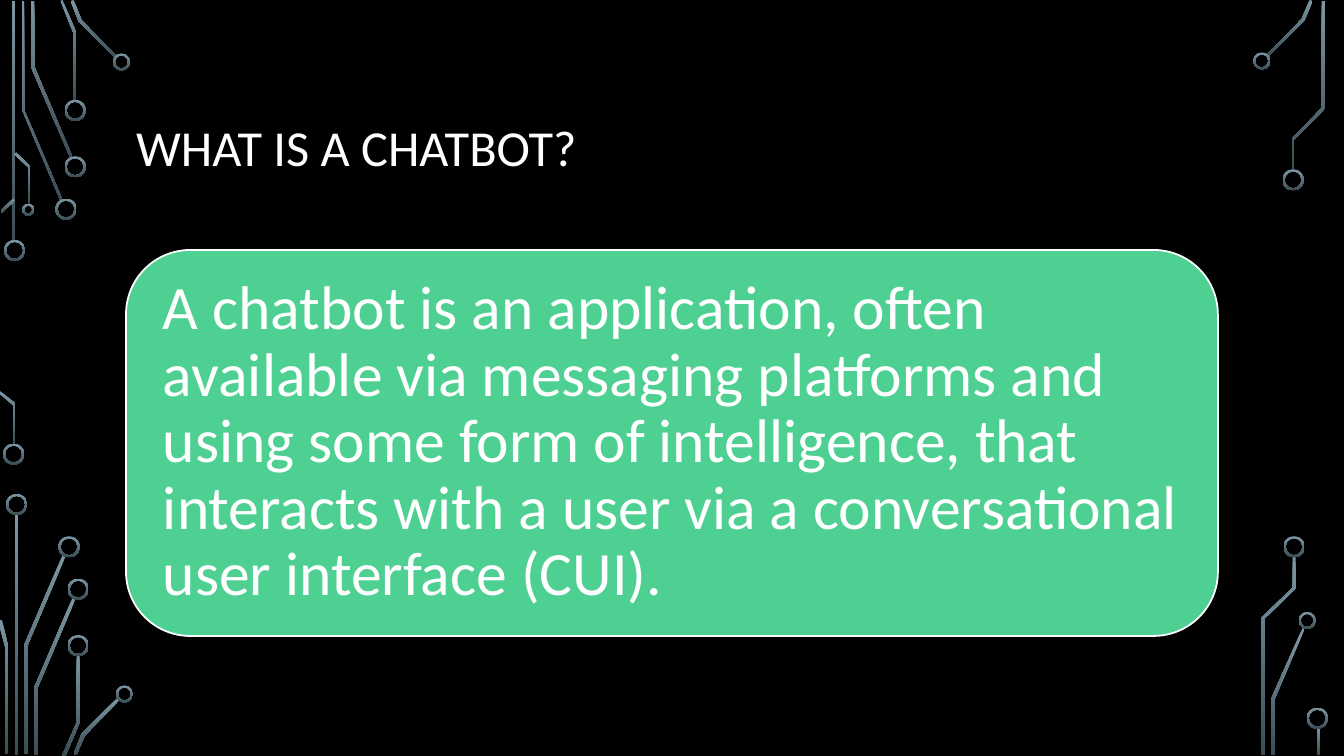
from pptx import Presentation
from pptx.dml.color import RGBColor
from pptx.enum.shapes import MSO_SHAPE
from pptx.enum.text import MSO_ANCHOR, PP_ALIGN
from pptx.util import Inches, Pt

RECTANGLE = MSO_SHAPE.RECTANGLE
RING = MSO_SHAPE.DONUT
ROUNDED_RECTANGLE = MSO_SHAPE.ROUNDED_RECTANGLE
MIDDLE = MSO_ANCHOR.MIDDLE
LEFT = PP_ALIGN.LEFT

COLORS = {
    "background": "000000",
    "text": "FFFFFF",
    "card": "4FD093",
    "trace_top": "7C96A3",
    "trace_bottom": "3B4C54",
}
FONT = "Calibri"
RING_THICKNESS = 0.02

# Straight circuit traces: left, top, width, height
BARS = [
    (0.12, 0.01, 0.03, 2.39),
    (0.15, 5.10, 0.03, 2.39),
    (13.06, 7.21, 0.03, 0.28),
]

# Bent circuit traces: outline points
TRACES = [
    # Top left
    [(0.60, 1.99), (0.22, 1.09), (0.22, 0.01), (0.24, 0.01), (0.24, 1.09), (0.62, 1.98)],
    [(0.70, 1.57), (0.31, 0.67), (0.31, 0.01), (0.34, 0.01), (0.34, 0.66), (0.72, 1.56)],
    [(0.76, 1.00), (0.73, 1.00), (0.73, 0.33), (0.60, 0.01), (0.62, 0.00), (0.76, 0.33)],
    [(1.15, 0.58), (0.78, 0.21), (0.70, 0.01), (0.73, 0.00), (0.81, 0.20), (1.16, 0.56)],
    [(0.02, 2.11), (0.01, 2.09), (0.13, 1.97), (0.15, 1.99)],
    [(0.30, 2.03), (0.28, 2.03), (0.28, 1.66), (0.14, 1.53), (0.16, 1.51), (0.30, 1.65)],
    # Bottom left
    [(0.15, 4.41), (0.13, 4.41), (0.13, 4.02), (0.00, 3.91), (0.00, 3.88), (0.15, 4.00)],
    [(0.27, 7.48), (0.24, 7.48), (0.24, 6.40), (0.62, 5.51), (0.65, 5.52), (0.27, 6.41)],
    [(0.08, 7.48), (0.05, 7.48), (0.05, 6.41), (0.00, 6.23), (0.00, 6.15), (0.02, 6.15),
     (0.08, 6.41)],
    [(0.37, 7.49), (0.34, 7.49), (0.34, 6.82), (0.72, 5.93), (0.75, 5.94), (0.37, 6.83)],
    [(0.65, 7.50), (0.62, 7.49), (0.76, 7.17), (0.76, 6.50), (0.79, 6.50), (0.79, 7.17)],
    [(0.76, 7.49), (0.73, 7.48), (0.81, 7.28), (1.17, 6.92), (1.19, 6.94), (0.84, 7.30)],
    # Top right
    [(12.58, 0.56), (12.56, 0.55), (12.91, 0.19), (12.99, 0.00), (13.02, 0.01), (12.94, 0.20)],
    [(12.83, 1.69), (12.81, 1.69), (12.81, 1.38), (13.11, 1.07), (13.11, 0.01), (13.14, 0.01),
     (13.14, 1.08), (12.83, 1.39)],
    # Bottom right
    [(12.64, 7.49), (12.61, 7.49), (12.61, 6.93), (12.92, 6.23), (12.94, 6.24), (12.64, 6.94)],
    [(12.54, 7.49), (12.51, 7.49), (12.51, 6.13), (12.82, 5.83), (12.82, 5.52), (12.85, 5.52),
     (12.85, 5.84), (12.54, 6.14)],
]

# Ring positions (left, top) by diameter
RINGS = {
    0.21: [(0.04, 2.38), (0.03, 4.40), (0.55, 1.97), (0.64, 1.55), (0.64, 0.99),
           (0.06, 4.90), (0.58, 5.32), (0.67, 5.74), (0.67, 6.30),
           (12.72, 1.68), (12.73, 5.32), (12.96, 7.02)],
    0.17: [(1.12, 0.53), (1.15, 6.80), (12.43, 0.52), (12.88, 6.07)],
    0.12: [(0.22, 2.02)],
}


def style_circuit(shape):
    """Give a circuit part its vertical gradient, without line or shadow."""
    shape.shadow.inherit = False
    shape.line.fill.background()
    shape.fill.gradient()
    shape.fill.gradient_angle = 270
    for stop, name in zip(shape.fill.gradient_stops, ("trace_top", "trace_bottom")):
        stop.color.rgb = RGBColor.from_string(COLORS[name])


def write_text(shape, text, size):
    """Write one left-aligned, vertically centred paragraph."""
    frame = shape.text_frame
    frame.text = text
    frame.word_wrap = True
    frame.vertical_anchor = MIDDLE
    paragraph = frame.paragraphs[0]
    paragraph.alignment = LEFT
    paragraph.line_spacing = 0.9
    font = paragraph.runs[0].font
    font.name = FONT
    font.size = Pt(size)
    font.color.rgb = RGBColor.from_string(COLORS["text"])


presentation = Presentation()
presentation.slide_width = Inches(13.33)
presentation.slide_height = Inches(7.5)
slide = presentation.slides.add_slide(presentation.slide_layouts[5])
slide.background.fill.solid()
slide.background.fill.fore_color.rgb = RGBColor.from_string(COLORS["background"])
shapes = slide.shapes

# Circuit decoration
for bar in BARS:
    style_circuit(shapes.add_shape(RECTANGLE, *map(Inches, bar)))

for outline in TRACES:
    points = [(Inches(x), Inches(y)) for x, y in outline]
    builder = shapes.build_freeform(*points[0])
    builder.add_line_segments(points[1:], close=True)
    style_circuit(builder.convert_to_shape())

for diameter, positions in RINGS.items():
    for left, top in positions:
        ring = shapes.add_shape(RING, *map(Inches, (left, top, diameter, diameter)))
        ring.adjustments[0] = RING_THICKNESS / diameter
        style_circuit(ring)

# Title
title = shapes.title
title.left, title.top = Inches(1.25), Inches(0.68)
title.width, title.height = Inches(10.83), Inches(1.62)
write_text(title, "WHAT IS A CHATBOT?", 36)

# Definition card
card = shapes.add_shape(ROUNDED_RECTANGLE, *map(Inches, (1.25, 2.48, 10.83, 3.83)))
card.shadow.inherit = False
card.fill.solid()
card.fill.fore_color.rgb = RGBColor.from_string(COLORS["card"])
card.line.color.rgb = RGBColor.from_string(COLORS["text"])
card.line.width = Pt(1.25)
write_text(
    card,
    "A chatbot is an application, often available via messaging platforms and using "
    "some form of intelligence, that interacts with a user via a conversational "
    "user interface (CUI).",
    44,
)
card_frame = card.text_frame
card_frame.margin_left = card_frame.margin_right = Inches(0.18)
card_frame.margin_top = card_frame.margin_bottom = Inches(0.18)

presentation.save("out.pptx")
